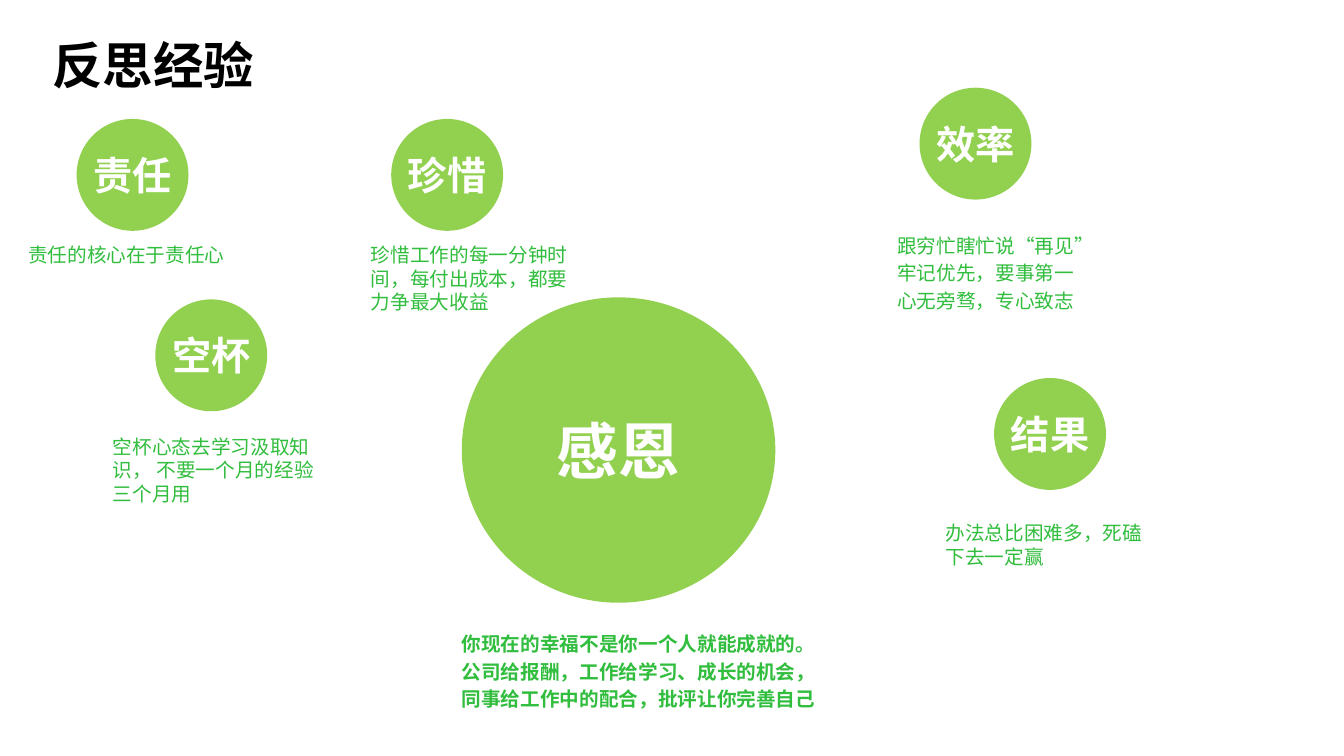
from dataclasses import dataclass

from lxml import etree
from pptx import Presentation
from pptx.dml.color import RGBColor
from pptx.enum.shapes import MSO_SHAPE
from pptx.enum.text import MSO_ANCHOR, MSO_AUTO_SIZE, PP_ALIGN
from pptx.oxml.ns import qn
from pptx.util import Pt

OVAL = MSO_SHAPE.OVAL
LEFT, CENTER = PP_ALIGN.LEFT, PP_ALIGN.CENTER
TOP, MIDDLE = MSO_ANCHOR.TOP, MSO_ANCHOR.MIDDLE
NO_FIT = MSO_AUTO_SIZE.NONE
PX = 9144  # 100 px to the inch


@dataclass(frozen=True)
class Theme:
    disc: RGBColor = RGBColor(0x92, 0xD0, 0x50)
    note: RGBColor = RGBColor(0x31, 0xBD, 0x3D)
    label: RGBColor = RGBColor(0xFF, 0xFF, 0xFF)
    title: RGBColor = RGBColor(0, 0, 0)
    font: str = "Arial"
    han: str = "Noto Sans CJK SC"
    title_size: int = 36
    hub_size: int = 44
    label_size: int = 28
    note_size: int = 14
    gap: float = 2.8


THEME = Theme()
DISC = 111
NOTE_WIDTH = 207

# disc left and top, label, note left, top and height, note lines
VALUES = [
    (76, 118, "责任", 28, 241, 25, ["责任的核心在于责任心"]),
    (154, 297, "空杯", 112, 431, 72,
     ["空杯心态去学习汲取知识， 不要一个月的经验三个月用"]),
    (388, 118, "珍惜", 368, 241, 72,
     ["珍惜工作的每一分钟时间，每付出成本，都要力争最大收益"]),
    (912, 87, "效率", 890, 232, 81,
     ["跟穷忙瞎忙说“再见”", "牢记优先，要事第一", "心无旁骛，专心致志"]),
    (986, 375, "结果", 938, 517, 48, ["办法总比困难多，死磕下去一定赢"]),
]
HUB_BOX = (458, 295, 311, 303)
HUB_NOTE_BOX = (458, 627, 496, 81)
HUB_LINES = [
    "你现在的幸福不是你一个人就能成就的。",
    "公司给报酬，工作给学习、成长的机会，",
    "同事给工作中的配合，批评让你完善自己",
]


def scale(box):
    return [side * PX for side in box]


def write(frame, lines, size, color, bold, align, face=THEME.font):
    """Fill a text frame with one styled paragraph per line."""
    frame.auto_size = NO_FIT
    for i, line in enumerate(lines):
        para = frame.add_paragraph() if i else frame.paragraphs[0]
        para.text = line
        para.alignment = align
        if i:
            para.space_before = Pt(THEME.gap)
        font = para.font
        font.name, font.size, font.bold = face, Pt(size), bold
        font.color.rgb = color
        style = para._p.pPr.find(qn("a:defRPr"))
        etree.SubElement(style, qn("a:ea")).set("typeface", THEME.han)


def clear_insets(frame):
    frame.margin_left = frame.margin_right = 0
    frame.margin_top = frame.margin_bottom = 0


def add_title(slide, box, text):
    title = slide.shapes.title
    title.left, title.top, title.width, title.height = scale(box)
    title.text_frame.vertical_anchor = TOP
    write(title.text_frame, [text], THEME.title_size, THEME.title, True,
          LEFT, THEME.han)


def add_disc(slide, box, label, size):
    disc = slide.shapes.add_shape(OVAL, *scale(box))
    disc.shadow.inherit = False
    disc.fill.solid()
    disc.fill.fore_color.rgb = THEME.disc
    disc.line.fill.background()
    frame = disc.text_frame
    clear_insets(frame)
    frame.word_wrap = False
    frame.vertical_anchor = MIDDLE
    write(frame, [label], size, THEME.label, True, CENTER)


def add_note(slide, box, lines, bold=False):
    frame = slide.shapes.add_textbox(*scale(box)).text_frame
    clear_insets(frame)
    frame.word_wrap = True
    write(frame, lines, THEME.note_size, THEME.note, bold, LEFT)


def main():
    deck = Presentation()
    deck.slide_width, deck.slide_height = scale((1333, 750))
    slide = deck.slides.add_slide(deck.slide_layouts[5])
    add_title(slide, (42, 29, 277, 74), "反思经验")
    add_disc(slide, HUB_BOX, "感恩", THEME.hub_size)
    add_note(slide, HUB_NOTE_BOX, HUB_LINES, bold=True)
    for left, top, label, note_left, note_top, height, lines in VALUES:
        add_disc(slide, (left, top, DISC, DISC), label, THEME.label_size)
        add_note(slide, (note_left, note_top, NOTE_WIDTH, height), lines)
    deck.save("out.pptx")


if __name__ == "__main__":
    main()
